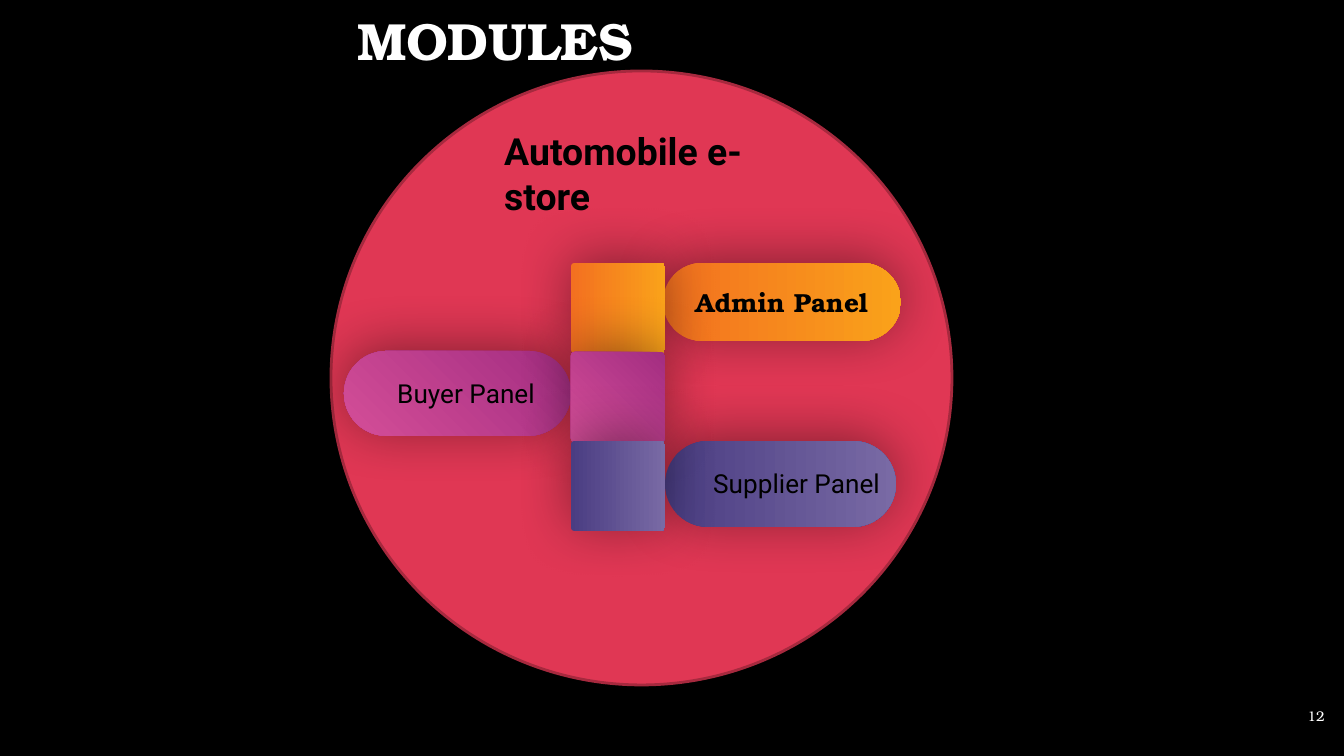
from dataclasses import dataclass

from lxml import etree
from pptx import Presentation
from pptx.dml.color import RGBColor
from pptx.enum.shapes import MSO_SHAPE
from pptx.enum.text import MSO_ANCHOR, MSO_AUTO_SIZE, PP_ALIGN
from pptx.oxml.ns import qn
from pptx.util import Emu, Pt

OVAL, ROUNDED = MSO_SHAPE.OVAL, MSO_SHAPE.ROUNDED_RECTANGLE
TOP, MIDDLE, BOTTOM = MSO_ANCHOR.TOP, MSO_ANCHOR.MIDDLE, MSO_ANCHOR.BOTTOM
LEFT, CENTER, RIGHT = PP_ALIGN.LEFT, PP_ALIGN.CENTER, PP_ALIGN.RIGHT
NO_FIT, GROW = MSO_AUTO_SIZE.NONE, MSO_AUTO_SIZE.SHAPE_TO_FIT_TEXT
TITLE_ONLY = 5
EMU_PER_PX = 914400 / 134.4


@dataclass(frozen=True)
class Theme:
    """Colours, fonts and type sizes of the slide."""

    background: str = "000000"
    light: str = "FFFFFF"
    dark: str = "000000"
    circle: str = "E03754"
    circle_line: str = "A6293E"
    orange: tuple = ("F37020", "FAA21A", 0)
    magenta: tuple = ("A32D81", "D44E98", 225)
    violet: tuple = ("4A3D82", "796AA5", 0)
    serif: str = "TeX Gyre Bonum"
    sans: str = "Roboto"
    title: float = 28
    heading: float = 20
    label: float = 14
    number: float = 7.5


THEME = Theme()


def px(value):
    """Turn pixels into EMU."""
    return Emu(round(value * EMU_PER_PX))


def place(box, left, top, width, height):
    """Return the EMU bounds of a part set relative to a box."""
    return [px(value) for value in (box[0] + left, box[1] + top, width, height)]


def apply_format(target, values):
    """Set each attribute of the target from a dict."""
    for name, value in values.items():
        setattr(target, name, value)


def write(shape, text, size, font, color, bold=False, align=LEFT, spacing=None, **frame_format):
    """Write one formatted paragraph into a shape."""
    frame = shape.text_frame
    apply_format(frame, {"word_wrap": True, "vertical_anchor": TOP, **frame_format})
    paragraph = frame.paragraphs[0]
    apply_format(paragraph, {"alignment": align, "line_spacing": spacing})
    run = paragraph.add_run()
    run.text = text
    apply_format(run.font, {"size": Pt(size), "name": font, "bold": bold})
    run.font.color.rgb = RGBColor.from_string(color)


def margins(value):
    """Return equal text margins on all four sides."""
    return {f"margin_{side}": px(value) for side in ("left", "top", "right", "bottom")}


def add_shadow(shape):
    """Give a shape a soft black shadow cast upwards."""
    effects = etree.SubElement(shape._element.spPr, qn("a:effectLst"))
    shadow = etree.SubElement(effects, qn("a:outerShdw"), blurRad=str(Pt(30)), dist=str(Pt(3)),
                              dir="16200000", algn="b", rotWithShape="0")
    color = etree.SubElement(shadow, qn("a:srgbClr"), val="000000")
    etree.SubElement(color, qn("a:alpha"), val="40000")


def add_block(slide, bounds, gradient, rounding):
    """Add a rounded block with a gradient and a shadow."""
    shape = slide.shapes.add_shape(ROUNDED, *bounds)
    shape.adjustments[0] = rounding
    *colors, angle = gradient
    shape.fill.gradient()
    shape.fill.gradient_angle = angle
    for stop, color, position in zip(shape.fill.gradient_stops, colors, (0, 1)):
        stop.color.rgb = RGBColor.from_string(color)
        stop.position = position
    shape.line.fill.background()
    add_shadow(shape)
    return shape


def add_title(slide, box):
    """Fill the title placeholder."""
    title = slide.shapes.title
    bounds = place(box, 0, 0, *box[2:])
    apply_format(title, dict(zip(("left", "top", "width", "height"), bounds)))
    write(title, "MODULES", THEME.title, THEME.serif, THEME.light, True, spacing=0.9,
          vertical_anchor=BOTTOM, auto_size=NO_FIT, **margins(13))


def add_page_number(slide, box):
    """Add the page number."""
    number = slide.shapes.add_textbox(*place(box, 0, 0, *box[2:]))
    write(number, "12", THEME.number, THEME.serif, THEME.light, align=RIGHT, **margins(13))


def add_store_circle(slide, box):
    """Add the circle that holds the store."""
    circle = slide.shapes.add_shape(OVAL, *place(box, 0, 0, *box[2:]))
    circle.shadow.inherit = False
    circle.fill.solid()
    circle.fill.fore_color.rgb = RGBColor.from_string(THEME.circle)
    circle.line.color.rgb = RGBColor.from_string(THEME.circle_line)
    circle.line.width = Pt(1.5)


def add_panels(slide, box):
    """Add the panel pills, the central tower and their labels."""
    pills = (
        ((319, 0, 238, 78), THEME.orange),
        ((321, 178, 231, 86), THEME.violet),
        ((0, 88, 227, 85), THEME.magenta),
    )
    admin, *_ = [add_block(slide, place(box, *part), gradient, 0.5) for part, gradient in pills]
    write(admin, "Admin Panel", THEME.label, THEME.serif, THEME.dark, True, CENTER,
          vertical_anchor=MIDDLE)
    for row, gradient in enumerate((THEME.orange, THEME.magenta, THEME.violet)):
        add_block(slide, place(box, 227, 89 * row, 94, 90), gradient, 0.04)
    labels = (
        ("Buyer Panel", (40, 108, 212, 46), THEME.label, False),
        ("Automobile e-store", (147, -141, 320, 59), THEME.heading, True),
        ("Supplier Panel", (356, 198, 237, 46), THEME.label, False),
    )
    for text, part, size, bold in labels:
        label = slide.shapes.add_textbox(*place(box, *part))
        write(label, text, size, THEME.sans, THEME.dark, bold, auto_size=GROW)


def main():
    """Build and save the slide."""
    presentation = Presentation()
    apply_format(presentation, {"slide_width": px(1344), "slide_height": px(756)})
    slide = presentation.slides.add_slide(presentation.slide_layouts[TITLE_ONLY])
    slide.background.fill.solid()
    slide.background.fill.fore_color.rgb = RGBColor.from_string(THEME.background)
    add_title(slide, (344, 19, 382, 66))
    add_page_number(slide, (1269, 699, 69, 57))
    add_store_circle(slide, (331, 71, 621, 614))
    add_panels(slide, (344, 263, 557, 268))
    presentation.save("out.pptx")


if __name__ == "__main__":
    main()
